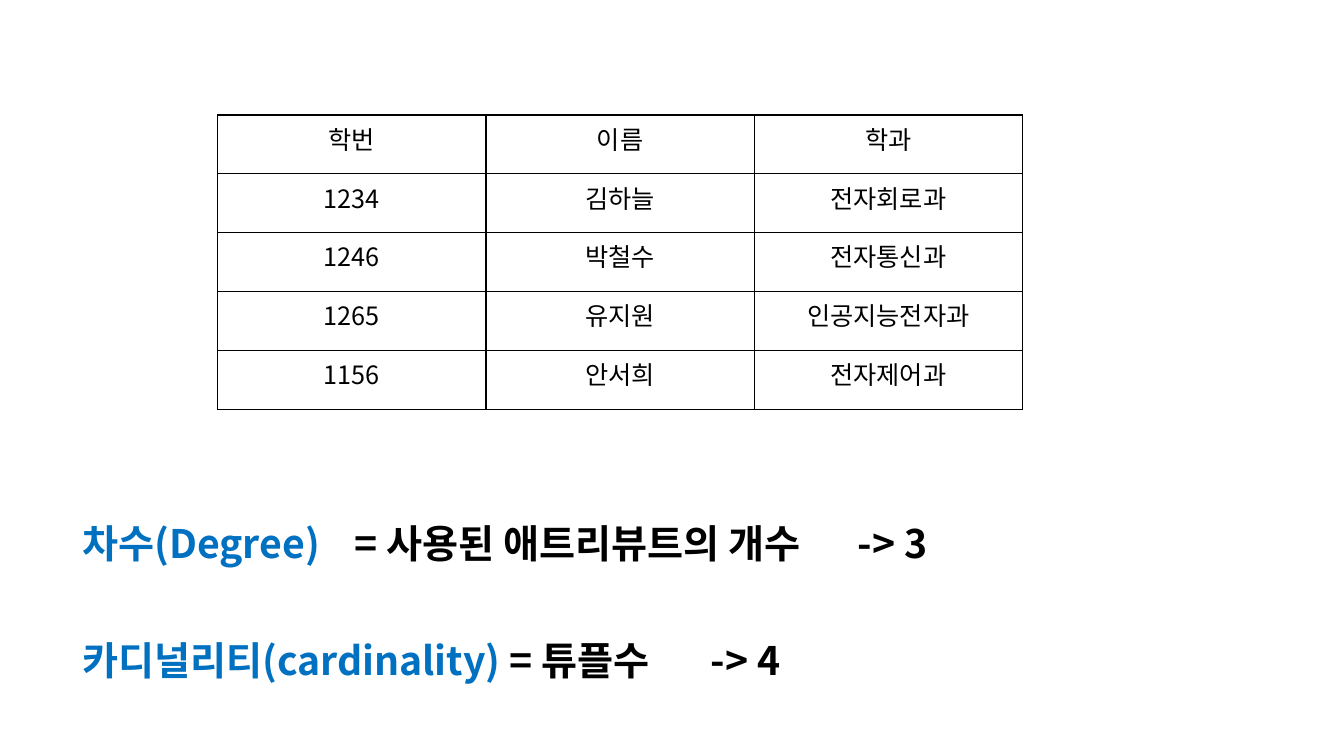
import pptx
import pptx.dml.color
import pptx.enum.text
import pptx.oxml.ns
import pptx.util
from lxml import etree
from pptx.util import Inches

FONT = "Noto Sans CJK KR"
BLACK = "000000"
BLUE = "0070C0"

STUDENTS = [
    ("학번", "이름", "학과"),
    ("1234", "김하늘", "전자회로과"),
    ("1246", "박철수", "전자통신과"),
    ("1265", "유지원", "인공지능전자과"),
    ("1156", "안서희", "전자제어과"),
]

# Each definition: blue term, black meaning, tab stops in inches.
DEFINITIONS = [
    ("차수(Degree)\t", "= 사용된 애트리뷰트의 개수\t-> 3", (2.7, 7.69)),
    ("카디널리티(cardinality) ", "= 튜플수\t-> 4", (6.23,)),
]


def rgb(color):
    return pptx.dml.color.RGBColor.from_string(color)


def add_child(parent, tag, **attributes):
    return etree.SubElement(parent, pptx.oxml.ns.qn(tag), **attributes)


def add_run(paragraph, text, size, color, bold=False):
    run = paragraph.add_run()
    run.text = text
    run.font.size = pptx.util.Pt(size)
    run.font.bold = bold
    run.font.color.rgb = rgb(color)
    run.font.name = FONT
    add_child(run.font._element, "a:ea", typeface=FONT)


def set_borders(cell, color, width):
    """Draw all four sides; the side lines must precede the fill."""
    properties = cell._tc.get_or_add_tcPr()
    for position, side in enumerate(("a:lnL", "a:lnR", "a:lnT", "a:lnB")):
        line = add_child(properties, side, w=str(pptx.util.Pt(width)))
        add_child(add_child(line, "a:solidFill"), "a:srgbClr", val=color)
        properties.insert(position, line)


def add_student_table(slide):
    row_height, column_width = Inches(0.584), Inches(2.66)
    row_count, column_count = len(STUDENTS), len(STUDENTS[0])
    table = slide.shapes.add_table(
        row_count, column_count, Inches(2.16), Inches(1.14),
        column_width * column_count, row_height * row_count).table
    table.first_row = False
    table.horz_banding = False
    for row, values in zip(table.rows, STUDENTS):
        row.height = row_height
        for cell, value in zip(row.cells, values):
            cell.fill.background()
            set_borders(cell, BLACK, 1)
            paragraph = cell.text_frame.paragraphs[0]
            paragraph.alignment = pptx.enum.text.PP_ALIGN.CENTER
            add_run(paragraph, value, 18, BLACK)


def set_tab_stops(paragraph, stops):
    tab_list = add_child(paragraph._p.get_or_add_pPr(), "a:tabLst")
    for stop in stops:
        add_child(tab_list, "a:tab", pos=str(Inches(stop)), algn="l")


def add_definitions(slide):
    frame = slide.shapes.add_textbox(
        Inches(0.72), Inches(4.4), Inches(9.27), Inches(2.25)).text_frame
    frame.word_wrap = True
    frame.auto_size = pptx.enum.text.MSO_AUTO_SIZE.SHAPE_TO_FIT_TEXT
    for index, (term, meaning, stops) in enumerate(DEFINITIONS):
        paragraph = frame.add_paragraph() if index else frame.paragraphs[0]
        paragraph.line_spacing = 2.5
        set_tab_stops(paragraph, stops)
        add_run(paragraph, term, 28, BLUE, bold=True)
        add_run(paragraph, meaning, 28, BLACK, bold=True)


def main():
    presentation = pptx.Presentation()
    presentation.slide_width = Inches(13.33)
    presentation.slide_height = Inches(7.5)
    slide = presentation.slides.add_slide(presentation.slide_layouts[6])
    add_student_table(slide)
    add_definitions(slide)
    presentation.save("out.pptx")


if __name__ == "__main__":
    main()
